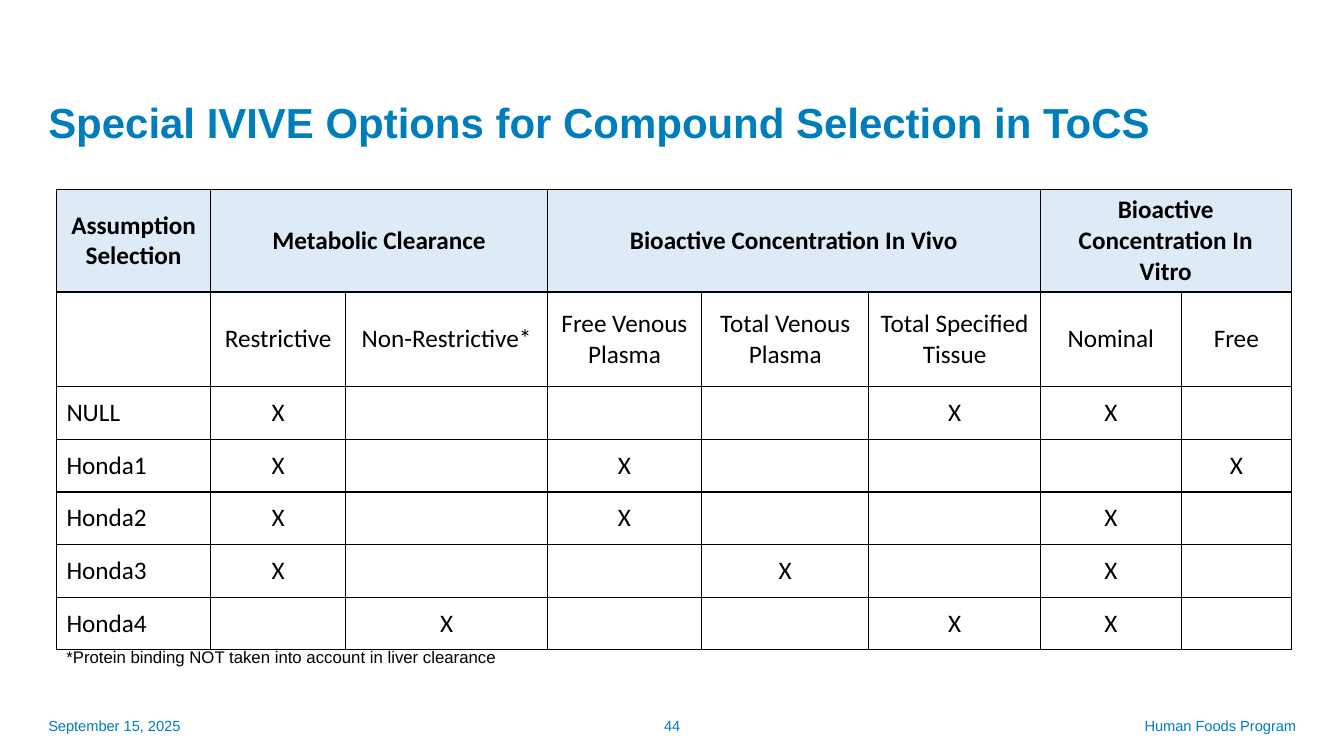
"""Build the slide listing the special IVIVE options in ToCS."""
from lxml import etree
from pptx import Presentation
from pptx import util as u
from pptx.dml.color import RGBColor
from pptx.enum import text
from pptx.oxml import ns

BLUE = RGBColor(0x00, 0x7D, 0xBB)
BLACK = RGBColor(0x00, 0x00, 0x00)
PALE = RGBColor(0xDE, 0xEB, 0xF7)
LEFT, CENTER, RIGHT = text.PP_ALIGN.LEFT, text.PP_ALIGN.CENTER, text.PP_ALIGN.RIGHT
TOP, MIDDLE = text.MSO_ANCHOR.TOP, text.MSO_ANCHOR.MIDDLE

TITLE_FONT = {"name": "Arial", "size": u.Pt(30), "bold": True}
FOOTER_FONT = {"name": "Arial", "size": u.Pt(10.5)}
NOTE_FONT = {"name": "Arial", "size": u.Pt(12)}
CELL_FONT = {"name": "Calibri", "size": u.Pt(18), "bold": False}
HEAD_FONT = {**CELL_FONT, "bold": True}

BOXES = [
    ("Special IVIVE Options for Compound Selection in ToCS",
     (27.4, 67.7, 828, 43.2), TITLE_FONT, BLUE, LEFT, MIDDLE),
    ("September 15, 2025", (27.4, 504, 216, 28.8), FOOTER_FONT, BLUE, LEFT, MIDDLE),
    ("44", (372.2, 504, 216, 28.8), FOOTER_FONT, BLUE, CENTER, MIDDLE),
    ("Human Foods Program", (609.1, 504, 324, 28.8), FOOTER_FONT, BLUE, RIGHT, MIDDLE),
    ("*Protein binding NOT taken into account in liver clearance",
     (40.3, 458.6, 882.7, 21.6), NOTE_FONT, BLACK, LEFT, TOP),
]

GROUPS = [
    ("Assumption Selection", [""]),
    ("Metabolic Clearance", ["Restrictive", "Non-Restrictive*"]),
    ("Bioactive Concentration In Vivo",
     ["Free Venous Plasma", "Total Venous Plasma", "Total Specified Tissue"]),
    ("Bioactive Concentration In Vitro", ["Nominal", "Free"]),
]
MARKS = {
    "NULL": (1, 5, 6),
    "Honda1": (1, 3, 7),
    "Honda2": (1, 3, 6),
    "Honda3": (1, 4, 6),
    "Honda4": (2, 5, 6),
}
WIDTHS = [110.2, 96.5, 144, 110.2, 119.5, 122.4, 100.8, 78.5]
HEIGHTS = [47.5, 67.7] + [37.6] * len(MARKS)
TABLE_LEFT, TABLE_TOP = 40.3, 135.4


def write(frame, words, font, color, align):
    """Put one formatted paragraph in a text frame."""
    para = frame.paragraphs[0]
    para.alignment = align
    span = para.add_run()
    span.text = words
    for name, value in font.items():
        setattr(span.font, name, value)
    span.font.color.rgb = color
    return para


def add_borders(cell):
    """Draw a thin black line on each side of a cell."""
    properties = cell._tc.get_or_add_tcPr()
    for side in ("lnL", "lnR", "lnT", "lnB"):
        line = etree.SubElement(properties, ns.qn(f"a:{side}"), w=str(u.Pt(1)))
        fill = etree.SubElement(line, ns.qn("a:solidFill"))
        etree.SubElement(fill, ns.qn("a:srgbClr"), val=str(BLACK))


def add_table(page):
    """Add the grid of assumptions and options."""
    heads = [word for head, options in GROUPS for word in [head] + [""] * (len(options) - 1)]
    options = [option for _, group in GROUPS for option in group]
    body = [[name] + ["X" if column in marked else "" for column in range(1, len(WIDTHS))]
            for name, marked in MARKS.items()]
    rows = [heads, options] + body
    table = page.shapes.add_table(
        len(rows), len(WIDTHS), u.Pt(TABLE_LEFT), u.Pt(TABLE_TOP),
        u.Pt(sum(WIDTHS)), u.Pt(sum(HEIGHTS))).table
    table.first_row = table.horz_banding = False
    for column, width in zip(table.columns, WIDTHS):
        column.width = u.Pt(width)
    for row, height in zip(table.rows, HEIGHTS):
        row.height = u.Pt(height)
    for i, row in enumerate(rows):
        for j, words in enumerate(row):
            cell = table.cell(i, j)
            cell.vertical_anchor = MIDDLE
            add_borders(cell)
            if i == 0:
                cell.fill.solid()
                cell.fill.fore_color.rgb = PALE
            else:
                cell.fill.background()
            if words:
                write(cell.text_frame, words, CELL_FONT if i else HEAD_FONT, BLACK,
                      LEFT if i > 1 and j == 0 else CENTER)
    start = 0
    for _, group in GROUPS:
        end = start + len(group) - 1
        if end > start:
            table.cell(0, start).merge(table.cell(0, end))
        start = end + 1


def main():
    """Build and save the deck."""
    deck = Presentation()
    deck.slide_width, deck.slide_height = u.Pt(960), u.Pt(540)
    page = deck.slides.add_slide(deck.slide_layouts[6])
    add_table(page)
    for words, place, font, color, align, anchor in BOXES:
        frame = page.shapes.add_textbox(*map(u.Pt, place)).text_frame
        frame.word_wrap = True
        frame.vertical_anchor = anchor
        para = write(frame, words, font, color, align)
        if font is TITLE_FONT:
            para.line_spacing = 0.9
    deck.save("out.pptx")


if __name__ == "__main__":
    main()
